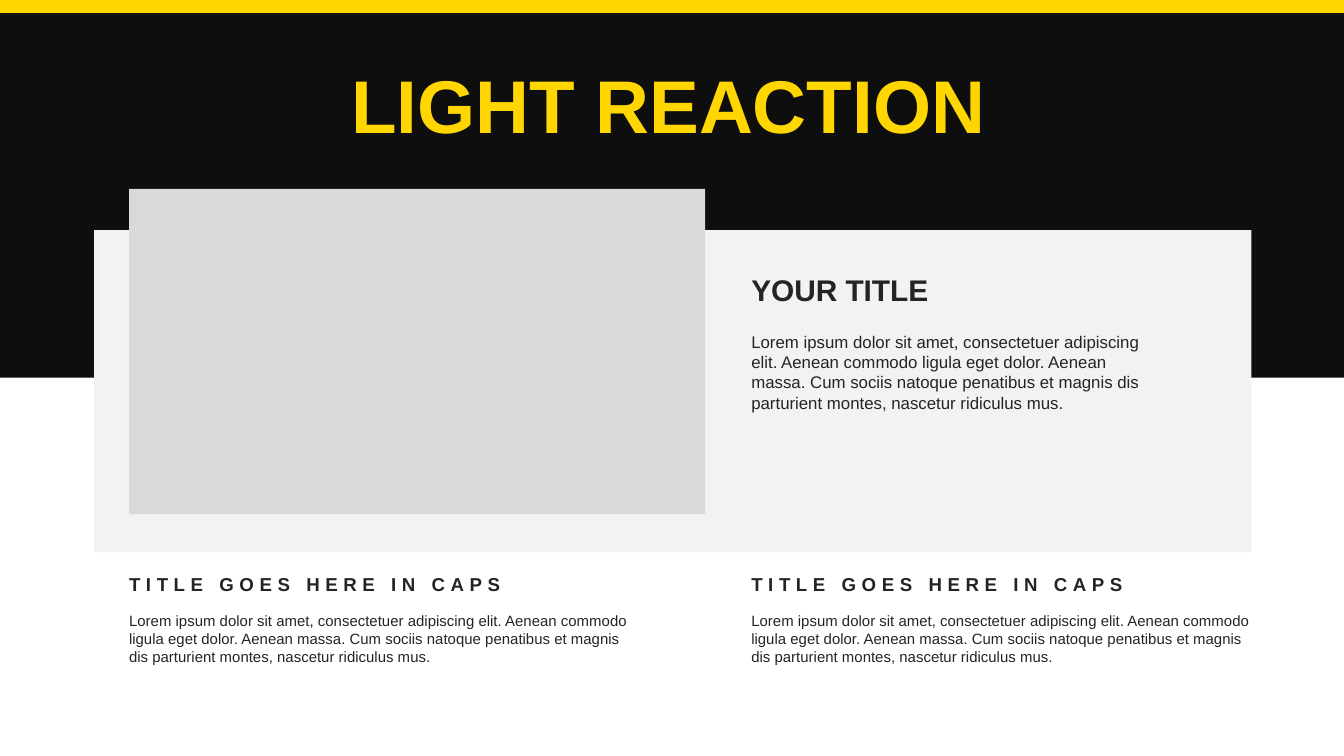
from pptx import Presentation
from pptx.dml.color import RGBColor
from pptx.enum.shapes import MSO_SHAPE
from pptx.enum.text import MSO_ANCHOR, MSO_AUTO_SIZE, PP_ALIGN
from pptx.util import Cm, Pt

YELLOW, BLACK, INK = "FFD600", "0E0E0E", "242424"
PANEL, PICTURE_AREA = "F2F2F2", "D9D9D9"

HEADING = "LIGHT REACTION"
PANEL_TITLE = "YOUR TITLE"
CAPTION = "TITLE GOES HERE IN CAPS"
LOREM = (
    "Lorem ipsum dolor sit amet, consectetuer adipiscing elit. "
    "Aenean commodo ligula eget dolor. Aenean massa. "
    "Cum sociis natoque penatibus et magnis dis parturient montes, "
    "nascetur ridiculus mus."
)

# Centimetres
SLIDE_WIDTH, SLIDE_HEIGHT = 25.4, 14.29
LEFT_COLUMN, RIGHT_COLUMN = 2.44, 14.2
COLUMNS = [(LEFT_COLUMN, 9.65), (RIGHT_COLUMN, 9.47)]  # left, text width
INSET_X, INSET_Y = 0.25, 0.13

BLOCKS = [  # fill, left, top, width, height
    (YELLOW, 0, 0, SLIDE_WIDTH, 0.28),
    (BLACK, 0, 0.25, SLIDE_WIDTH, 6.89),
    (PANEL, 1.78, 4.35, 21.87, 6.09),
    (PICTURE_AREA, LEFT_COLUMN, 3.57, 10.89, 6.15),
]


def rgb(hex_code):
    return RGBColor.from_string(hex_code)


def add_block(fill, left, top, width, height):
    block = slide.shapes.add_shape(
        MSO_SHAPE.RECTANGLE, Cm(left), Cm(top), Cm(width), Cm(height))
    block.shadow.inherit = False
    block.fill.solid()
    block.fill.fore_color.rgb = rgb(fill)
    block.line.fill.background()


def write(box, text, size, color=INK, bold=False, inset=(0, 0), wrap=True,
          align=PP_ALIGN.LEFT, spacing=0):
    """Fill a text box with one run; spacing is the letter gap in points."""
    frame = box.text_frame
    frame.margin_left = frame.margin_right = Cm(inset[0])
    frame.margin_top = frame.margin_bottom = Cm(inset[1])
    frame.vertical_anchor = MSO_ANCHOR.TOP
    frame.word_wrap = wrap
    frame.auto_size = MSO_AUTO_SIZE.SHAPE_TO_FIT_TEXT
    paragraph = frame.paragraphs[0]
    paragraph.alignment = align
    paragraph.line_spacing = 1.0
    run = paragraph.add_run()
    run.text = text
    run.font.name = "Arial"
    run.font.size = Pt(size)
    run.font.bold = bold
    run.font.color.rgb = rgb(color)
    if spacing:
        run.font._element.set("spc", str(spacing * 100))


def add_text(left, top, width, height, text, size, **style):
    box = slide.shapes.add_textbox(Cm(left), Cm(top), Cm(width), Cm(height))
    write(box, text, size, **style)


prs = Presentation()
prs.slide_width, prs.slide_height = Cm(SLIDE_WIDTH), Cm(SLIDE_HEIGHT)
slide = prs.slides.add_slide(prs.slide_layouts[5])

for block in BLOCKS:
    add_block(*block)

title = slide.shapes.title
slide.shapes._spTree.append(title._element)  # in front of the black band
title.left, title.top = Cm(6.32), Cm(0.99)
title.width, title.height = Cm(12.62), Cm(1.96)
write(title, HEADING, 40, color=YELLOW, bold=True, inset=(INSET_X, INSET_Y),
      wrap=False, align=PP_ALIGN.CENTER)

add_text(RIGHT_COLUMN, 5.13, 8.86, 0.69, PANEL_TITLE, 16, bold=True)
add_text(RIGHT_COLUMN, 6.27, 7.67, 1.55, LOREM, 9)

for left, width in COLUMNS:
    add_text(left - INSET_X, 10.69, 7.7, 0.69, CAPTION, 10, bold=True,
             inset=(INSET_X, INSET_Y), wrap=False, spacing=3)
    add_text(left, 11.56, width, 1.02, LOREM, 8)

prs.save("out.pptx")
